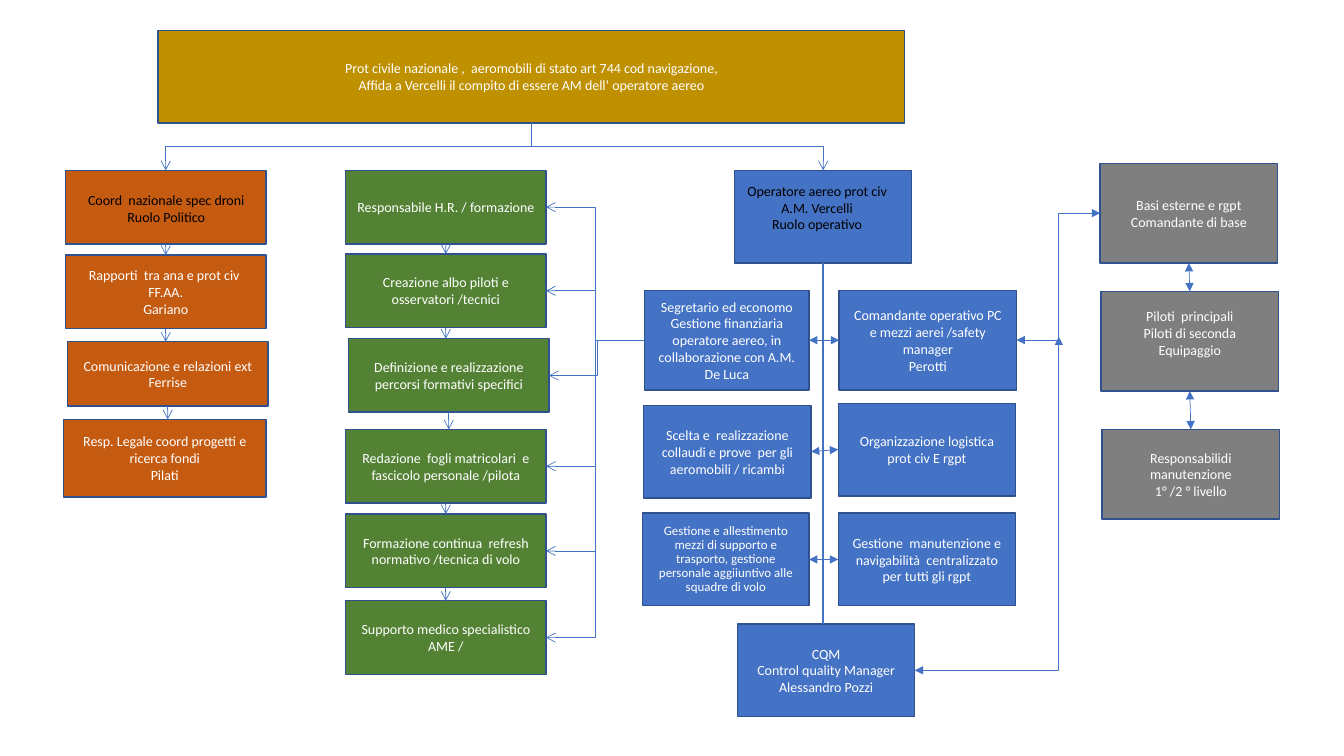
from pptx import Presentation, util as u
from pptx.dml.color import RGBColor
from pptx.enum import shapes, text
from pptx.oxml.ns import qn
from lxml import etree

ORANGE = RGBColor(0xC5, 0x5A, 0x11)
GREEN = RGBColor(0x54, 0x82, 0x35)
BLUE = RGBColor(0x44, 0x72, 0xC4)
GREY = RGBColor(0x7F, 0x7F, 0x7F)
GOLD = RGBColor(0xBF, 0x90, 0x00)
BORDER = RGBColor(0x2F, 0x52, 0x8F)
WHITE = RGBColor(0xFF, 0xFF, 0xFF)
BLACK = RGBColor(0, 0, 0)

# Boxes: key -> (left, top, width, height, text); inches
TOP = {"stato": (1.57, 0.3, 7.41, 0.92,
                 "Prot civile nazionale ,  aeromobili di stato art 744 cod navigazione,\n"
                 "Affida a Vercelli il compito di essere AM dell’ operatore aereo")}
POLITICAL = {
    "coord": (0.65, 1.69, 1.99, 0.73, ""),
    "rapporti": (0.65, 2.53, 1.99, 0.73, "Rapporti  tra ana e prot civ  FF.AA.\nGariano"),
    "comunicazione": (0.67, 3.39, 1.99, 0.64, "Comunicazione e relazioni ext\nFerrise"),
    "legale": (0.63, 4.16, 2.01, 0.77, "Resp. Legale coord progetti e ricerca fondi\nPilati"),
}
TRAINING = {
    "hr": (3.43, 1.69, 1.99, 0.73, "Responsabile H.R. / formazione"),
    "albo": (3.43, 2.52, 1.99, 0.73, "Creazione albo piloti e osservatori /tecnici"),
    "percorsi": (3.46, 3.36, 1.99, 0.73, "Definizione e realizzazione percorsi formativi specifici"),
    "fogli": (3.43, 4.26, 1.99, 0.73, "Redazione  fogli matricolari  e fascicolo personale /pilota"),
    "refresh": (3.43, 5.1, 1.99, 0.73, "Formazione continua  refresh normativo /tecnica di volo"),
    "medico": (3.43, 5.96, 1.99, 0.73, "Supporto medico specialistico AME /"),
}
OPERATIONS = {
    "operatore": (7.29, 1.69, 1.76, 0.92, ""),
    "segretario": (6.4, 2.88, 1.63, 0.99,
                   "Segretario ed economo\nGestione finanziaria operatore aereo, "
                   "in collaborazione con A.M.\nDe Luca"),
    "comandante": (8.33, 2.88, 1.76, 0.99,
                   "Comandante operativo PC e mezzi aerei /safety manager\nPerotti"),
    "collaudi": (6.39, 4.02, 1.66, 0.92,
                 "Scelta e  realizzazione collaudi e prove  per gli aeromobili / ricambi"),
    "logistica": (8.32, 4, 1.76, 0.92, "Organizzazione logistica prot civ E rgpt"),
    "mezzi": (6.38, 5.09, 1.65, 0.92,
              "Gestione e allestimento mezzi di supporto e trasporto, gestione "
              "personale aggiiuntivo alle squadre di volo"),
    "manutenzione": (8.32, 5.09, 1.76, 0.92,
                     "Gestione  manutenzione e navigabilità  centralizzato per tutti gli rgpt"),
    "cqm": (7.32, 6.19, 1.76, 0.92, "CQM\nControl quality Manager\nAlessandro Pozzi"),
}
BASES = {
    "basi": (10.92, 1.62, 1.76, 0.99, "Basi esterne e rgpt\nComandante di base"),
    "piloti": (10.93, 2.89, 1.76, 0.99, "Piloti  principali\nPiloti di seconda Equipaggio"),
    "livello": (10.94, 4.26, 1.76, 0.89, "Responsabilidi manutenzione\n1° /2 ° livello"),
}
GROUPS = [(TOP, GOLD), (POLITICAL, ORANGE), (TRAINING, GREEN),
          (OPERATIONS, BLUE), (BASES, GREY)]
CAPTIONS = [
    (6.8, 1.76, 2.62, 0.6, "Operatore aereo prot civ\nA.M. Vercelli\nRuolo operativo"),
    (0.67, 1.85, 1.96, 0.44, "Coord  nazionale spec droni\nRuolo Politico"),
]
PAIRS = [("segretario", "comandante"), ("collaudi", "logistica"), ("mezzi", "manutenzione")]
BOTTOM_SIDE, LEFT_SIDE, RIGHT_SIDE, TOP_SIDE = 2, 1, 3, 0

prs = Presentation()
prs.slide_width, prs.slide_height = u.Inches(13.34), u.Inches(7.5)
s = prs.slides.add_slide(prs.slide_layouts[6])
boxes = {}


def write(sp, words, color, size=10, spacing=None):
    tf = sp.text_frame
    tf.word_wrap = True
    tf.text = words
    for p in tf.paragraphs:
        p.alignment = text.PP_ALIGN.CENTER
        p.line_spacing = spacing
        for r in p.runs:
            r.font.name, r.font.size, r.font.color.rgb = "Calibri", u.Pt(size), color
    return tf


def middle(key, side):
    sp = boxes[key]
    x = sp.left + sp.width * {LEFT_SIDE: 0, RIGHT_SIDE: 1}.get(side, 0.5)
    y = sp.top + sp.height * {TOP_SIDE: 0, BOTTOM_SIDE: 1}.get(side, 0.5)
    return int(x), int(y)


def line(start, end, kind=shapes.MSO_CONNECTOR.STRAIGHT, head=None, tail=None, width=0.5):
    c = s.shapes.add_connector(kind, *map(int, start), *map(int, end))
    c.line.color.rgb, c.line.width = BLUE, u.Pt(width)
    for tag, arrow in (("a:headEnd", head), ("a:tailEnd", tail)):
        if arrow:
            etree.SubElement(c.line._get_or_add_ln(), qn(tag), type=arrow)
    etree.SubElement(c._element.spPr, qn("a:effectLst"))
    return c


def join(a, a_side, b, b_side, **style):
    c = line(middle(a, a_side), middle(b, b_side), **style)
    c.begin_connect(boxes[a], a_side)
    c.end_connect(boxes[b], b_side)
    return c


def drop(a, b, **style):
    """Vertical line from the bottom of a to the top edge of b."""
    x, y = middle(a, BOTTOM_SIDE)
    x2, y2 = middle(b, TOP_SIDE)
    c = line((x, y), (x, y2), **style)
    c.begin_connect(boxes[a], BOTTOM_SIDE)
    if abs(x - x2) < u.Inches(0.01):
        c.end_connect(boxes[b], TOP_SIDE)


def branch(a, b):
    """Elbow that leaves downwards: a horizontal elbow turned by a quarter."""
    (x1, y1), (x2, y2) = middle(a, BOTTOM_SIDE), middle(b, TOP_SIDE)
    cx, cy = (x1 + x2) / 2, (y1 + y2) / 2
    half_w, half_h = (y2 - y1) / 2, abs(x2 - x1) / 2
    turn = 1 if x2 < x1 else -1
    c = line((cx - turn * half_w, cy - half_h), (cx + turn * half_w, cy + half_h),
             ELBOW, tail="arrow")
    c._element.spPr.find(qn("a:xfrm")).set("rot", str(turn * 90 * 60000 % 21600000))


# Boxes
for group, fill in GROUPS:
    for key, (x, y, w, h, words) in group.items():
        sp = s.shapes.add_shape(shapes.MSO_SHAPE.RECTANGLE, *map(u.Inches, (x, y, w, h)))
        sp.shadow.inherit = False
        sp.fill.solid()
        sp.fill.fore_color.rgb = fill
        sp.line.color.rgb, sp.line.width = BORDER, u.Pt(1)
        small = key == "mezzi"
        tf = write(sp, words, WHITE, 9.2 if small else 10, 0.9 if small else None)
        tf.vertical_anchor = text.MSO_ANCHOR.MIDDLE
        boxes[key] = sp
boxes["piloti"].text_frame.margin_bottom = u.Inches(0.22)

# Captions on the two head boxes
for x, y, w, h, words in CAPTIONS:
    write(s.shapes.add_textbox(*map(u.Inches, (x, y, w, h))), words, BLACK)

# Arrows down the political and training columns
ELBOW = shapes.MSO_CONNECTOR.ELBOW
for column in (POLITICAL, TRAINING):
    keys = list(column)
    for a, b in zip(keys, keys[1:]):
        drop(a, b, tail="arrow")

# Branches from the state box, and from the secretary to the training boxes
branch("stato", "operatore")
branch("stato", "coord")
for key in TRAINING:
    join("segretario", LEFT_SIDE, key, RIGHT_SIDE, kind=ELBOW, tail="arrow")

# Operations spine and two-way links
both = {"head": "triangle", "tail": "triangle"}
drop("operatore", "cqm", width=1)
for a, b in PAIRS:
    join(a, RIGHT_SIDE, b, LEFT_SIDE, **both)
for a, b in (("basi", "piloti"), ("piloti", "livello")):
    join(a, BOTTOM_SIDE, b, TOP_SIDE, **both)
join("comandante", RIGHT_SIDE, "basi", LEFT_SIDE, kind=ELBOW, **both)

# Quality manager up to the commander's link
c = line(middle("cqm", RIGHT_SIDE), (u.Inches(10.51), u.Inches(3.34)), ELBOW, **both)
c._element.spPr.find(qn("a:prstGeom")).set("prst", "bentConnector2")

prs.save("out.pptx")
